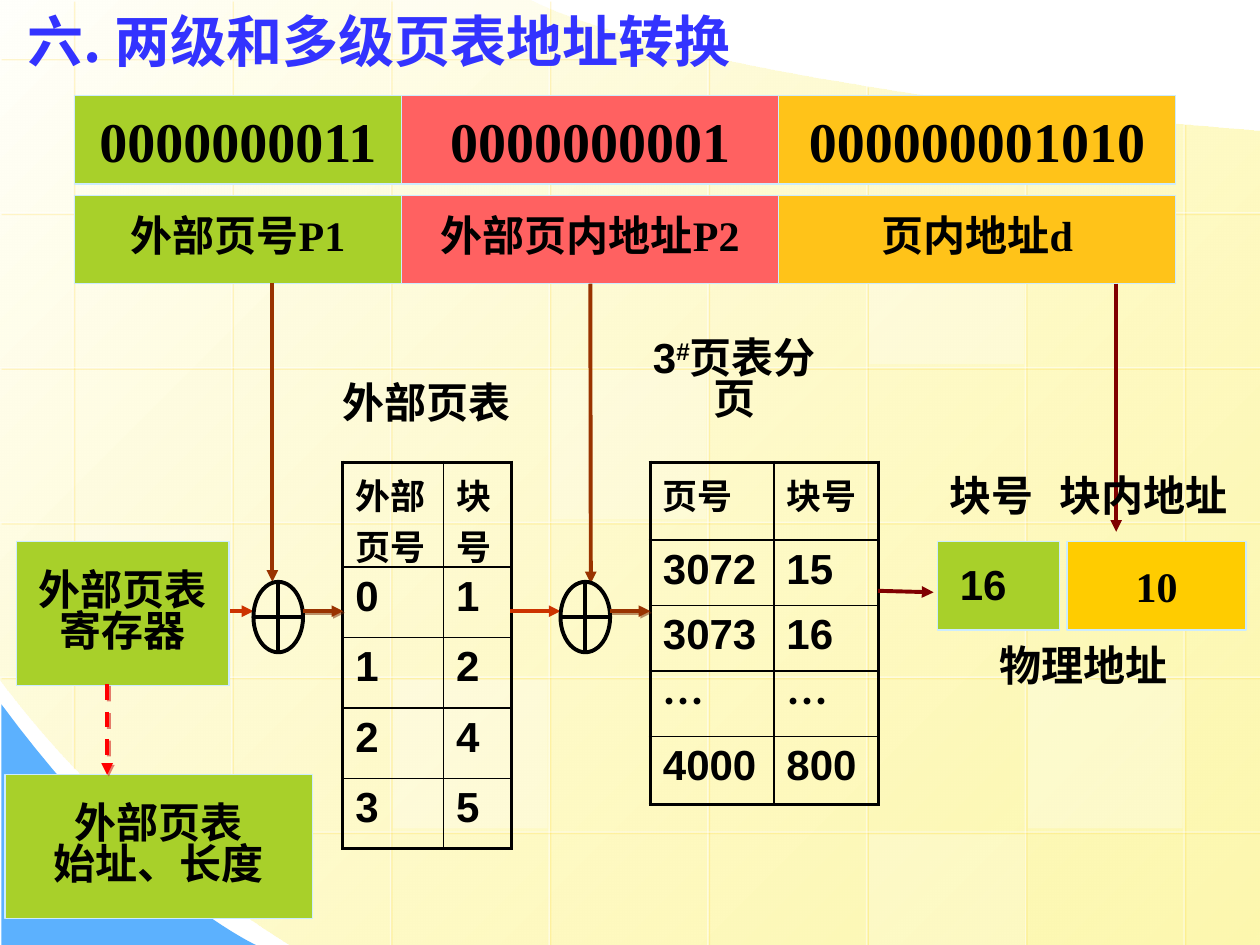
from lxml import etree
from pptx import Presentation
from pptx.dml.color import RGBColor
from pptx.enum.dml import MSO_LINE
from pptx.enum.shapes import MSO_CONNECTOR, MSO_SHAPE
from pptx.enum.text import MSO_ANCHOR, PP_ALIGN
from pptx.oxml.ns import qn
from pptx.util import Cm, Pt

RECTANGLE, OR_GATE = MSO_SHAPE.RECTANGLE, MSO_SHAPE.FLOWCHART_OR
STRAIGHT, DASH = MSO_CONNECTOR.STRAIGHT, MSO_LINE.DASH
LEFT, CENTER = PP_ALIGN.LEFT, PP_ALIGN.CENTER
TOP, MIDDLE = MSO_ANCHOR.TOP, MSO_ANCHOR.MIDDLE
SANS, SERIF, CJK = "Arial", "Times New Roman", "Noto Sans CJK SC"
TIGHT = 0.82
WIDTH, HEIGHT = 25.4, 19.05
COLORS = {
    "black": "000000", "white": "FFFFFF", "title": "3333FF", "border": "CCECFF",
    "green": "A8D02A", "red": "FF6161", "orange": "FFC319", "gold": "FFCC00",
    "brown": "993300", "rust": "CC3300", "maroon": "800000", "dash": "FF0000",
    "brown shadow": "7B2900", "dash shadow": "CC0000",
    "cream": "FFFFFB", "yellow": "FDF58D", "blue": "5CB1FE",
}


def rgb(name):
    return RGBColor.from_string(COLORS[name])


def set_alpha(properties, percent):
    """Make the last colour inside the element partly transparent."""
    color = list(properties.iter(qn("a:srgbClr")))[-1]
    etree.SubElement(color, qn("a:alpha")).set("val", str(percent * 1000))


def write_text(frame, text, size=24, font=SANS, color="black", align=LEFT,
               anchor=TOP, wrap=True, spacing=TIGHT):
    """Fill a text frame; a part between two ^ marks is superscript."""
    frame.word_wrap = wrap
    frame.vertical_anchor = anchor
    for index, line in enumerate(text.split("\n")):
        paragraph = frame.add_paragraph() if index else frame.paragraphs[0]
        paragraph.alignment = align
        paragraph.line_spacing = spacing
        for part, words in enumerate(line.split("^")):
            run = paragraph.add_run()
            run.text = words
            run.font.size, run.font.name, run.font.bold = Pt(size), font, True
            run.font.color.rgb = rgb(color)
            properties = run._r.get_or_add_rPr()
            etree.SubElement(properties, qn("a:ea")).set("typeface", CJK)
            if part % 2:
                properties.set("baseline", "30000")


def add_label(slide, text, left, top, width, height=1.27, **text_format):
    box = slide.shapes.add_textbox(Cm(left), Cm(top), Cm(width), Cm(height))
    write_text(box.text_frame, text, **text_format)


def add_box(slide, left, top, width, height, fill, text="", alpha=None, **text_format):
    shape = slide.shapes.add_shape(RECTANGLE, Cm(left), Cm(top), Cm(width), Cm(height))
    shape.shadow.inherit = False
    shape.fill.solid()
    shape.fill.fore_color.rgb = rgb(fill)
    if alpha:
        shape.line.fill.background()
        set_alpha(shape._element.spPr, alpha)
    else:
        shape.line.color.rgb = rgb("border")
        shape.line.width = Pt(0.75)
    if text:
        write_text(shape.text_frame, text, font=SERIF, align=CENTER, anchor=MIDDLE,
                   wrap=False, **text_format)
    return shape


def add_line(slide, start, end, color, width=2.25, alpha=None, arrow=True,
             dash=None, shadow=None, source=None):
    """Draw a line; shadow is (colour, alpha), source is (shape, site)."""
    points = [Cm(value) for value in (*start, *end)]
    connector = slide.shapes.add_connector(STRAIGHT, *points)
    if source:
        connector.begin_connect(*source)
    connector.line.color.rgb = rgb(color)
    connector.line.width = Pt(width)
    if dash:
        connector.line.dash_style = dash
    properties = connector._element.spPr
    if alpha:
        set_alpha(properties, alpha)
    if arrow:
        etree.SubElement(connector.line._get_or_add_ln(), qn("a:tailEnd")).set("type", "triangle")
    effects = etree.SubElement(properties, qn("a:effectLst"))
    if shadow:
        outer = etree.SubElement(effects, qn("a:outerShdw"), dist=str(Pt(1.4)), dir="2700000")
        etree.SubElement(outer, qn("a:srgbClr")).set("val", COLORS[shadow[0]])
        set_alpha(outer, shadow[1])


def curve(*controls, steps=24):
    """Points along a cubic curve, without its start."""
    def blend(a, b, c, d, t):
        u = 1 - t
        return u**3 * a + 3 * u * u * t * b + 3 * u * t * t * c + t**3 * d
    return [tuple(blend(*axis, step / steps) for axis in zip(*controls))
            for step in range(1, steps + 1)]


def add_outline(slide, points):
    points = [(Cm(x), Cm(y)) for x, y in points]
    builder = slide.shapes.build_freeform(*points[0])
    builder.add_line_segments(points[1:], close=True)
    shape = builder.convert_to_shape()
    shape.shadow.inherit = False
    shape.line.fill.background()
    return shape


def add_background(slide):
    page = add_outline(slide, [
        (WIDTH, 2.64), (WIDTH, HEIGHT), (5.84, HEIGHT),
        *curve((5.84, HEIGHT), (2.18, 16.79), (0, 13.69), (0, 13.69)),
        (0, 0), (10.69, 0),
        *curve((10.69, 0), (10.69, 0), (13.64, 1.75), (WIDTH, 2.64))])
    page.fill.gradient()
    page.fill.gradient_angle = 315
    for stop, color, position in zip(page.fill.gradient_stops, ("cream", "yellow"), (0, 1)):
        stop.color.rgb = rgb(color)
        stop.position = position
    set_alpha(page._element.spPr, 70)

    corner = add_outline(slide, [
        (0.03, 14.2), (0.03, HEIGHT), (5.16, HEIGHT),
        *curve((5.16, HEIGHT), (5.16, HEIGHT), (2.84, 18.01), (0.03, 14.2))])
    corner.fill.solid()
    corner.fill.fore_color.rgb = rgb("blue")

    columns = [1.47 + 3.2 * index for index in range(8)]
    rows = [1.17 + 3.12 * index for index in range(6)]
    grid = {"color": "white", "width": 0.75, "alpha": 50, "arrow": False,
            "shadow": ("gold", 34)}
    tops = (0, 0, 0, 0, 1.09, 1.73, 2.16, 2.49)
    bottoms = (15.47, 18.26) + (HEIGHT,) * 6
    for x, top, bottom in zip(columns, tops, bottoms):
        add_line(slide, (x, top), (x, bottom), **grid)
    lefts = (0, 0, 0, 0, 0, 2.82)
    rights = (14.43,) + (WIDTH,) * 5
    for y, left, right in zip(rows, lefts, rights):
        add_line(slide, (right, y), (left, y), **grid)

    for column, row, alpha in ((3, 2, 25), (6, 4, 30), (0, 3, 20), (5, 5, 20),
                               (2, -1, 40), (2, 4, 30), (5, 1, 30)):
        cell_top = 1.22 + 3.12 * row
        top, bottom = max(0, cell_top), min(HEIGHT, cell_top + 3)
        add_box(slide, columns[column] + 0.05, top, 3.12, bottom - top, "white", alpha=alpha)


def add_page_table(slide, left, top, widths, heights, rows):
    frame = slide.shapes.add_table(len(rows), len(widths), Cm(left), Cm(top),
                                   Cm(sum(widths)), Cm(sum(heights)))
    table = frame.table
    table.first_row = table.horz_banding = False
    for column, width in zip(table.columns, widths):
        column.width = Cm(width)
    last_row, last_column = len(rows) - 1, len(widths) - 1
    for r, values in enumerate(rows):
        table.rows[r].height = Cm(heights[r])
        for c, value in enumerate(values):
            cell = table.cell(r, c)
            dots = value == "…"
            write_text(cell.text_frame, value, size=24 if r else 20,
                       font=CJK if dots else SANS, spacing=TIGHT if dots else 1.0)
            outer = {"L": c == 0, "R": c == last_column, "T": r == 0, "B": r == last_row}
            properties = cell._tc.get_or_add_tcPr()
            for side, is_outer in outer.items():
                border = etree.SubElement(properties, qn(f"a:ln{side}"),
                                          w=str(Pt(2.25 if is_outer else 1)))
                fill = etree.SubElement(border, qn("a:solidFill"))
                etree.SubElement(fill, qn("a:srgbClr")).set("val", COLORS["black"])
            cell.fill.background()


def add_adder(slide, left):
    """Circled plus with the arrow that leaves it."""
    shape = slide.shapes.add_shape(OR_GATE, Cm(left), Cm(11.73), Cm(1), Cm(1.42))
    shape.shadow.inherit = False
    shape.fill.background()
    shape.line.color.rgb = rgb("black")
    shape.line.width = Pt(2.25)
    add_line(slide, (left + 1, 12.32), (left + 1.81, 12.32), "brown",
             shadow=("brown shadow", 50))


def add_address_fields(slide):
    """Logical address: binary values above field names."""
    left, fields = 1.5, []
    for value, name, width, fill in (
            ("0000000011", "外部页号P1", 6.6, "green"),
            ("0000000001", "外部页内地址P2", 7.6, "red"),
            ("000000001010", "页内地址d", 8, "orange")):
        add_box(slide, left, 1.93, width, 1.78, fill, value, size=32, spacing=1.0)
        fields.append(add_box(slide, left, 3.94, width, 1.78, fill, name))
        left += width
    return fields


def main():
    presentation = Presentation()
    presentation.slide_width, presentation.slide_height = Cm(WIDTH), Cm(HEIGHT)
    slide = presentation.slides.add_slide(presentation.slide_layouts[6])
    add_background(slide)
    add_label(slide, "六. 两级和多级页表地址转换", 0.3, -0.48, 22.86, 2.57, size=32,
              font=CJK, color="title", anchor=MIDDLE, spacing=1.0)
    fields = add_address_fields(slide)

    add_page_table(slide, 6.91, 9.32, (2.03, 1.37), (2.11, 1.42, 1.42, 1.42, 1.42),
                   (("外部页号", "块号"), ("0", "1"), ("1", "2"), ("2", "4"), ("3", "5")))
    add_page_table(slide, 13.11, 9.32, (2.49, 2.11), (1.57, 1.32, 1.32, 1.32, 1.37),
                   (("页号", "块号"), ("3072", "15"), ("3073", "16"), ("…", "…"),
                    ("4000", "800")))

    add_line(slide, (5.49, 5.7), (5.49, 11.73), "brown")
    add_line(slide, (11.91, 5.72), (11.91, 11.76), "brown", source=(fields[1], 2))
    add_line(slide, (22.5, 5.72), (22.5, 10.72), "maroon")
    add_line(slide, (4.09, 12.32), (5.11, 12.32), "rust")
    add_line(slide, (10.29, 12.32), (11.3, 12.32), "rust")
    add_line(slide, (17.7, 11.91), (18.82, 11.94), "maroon")
    for left in (5.11, 11.3):
        add_adder(slide, left)

    add_box(slide, 0.33, 10.92, 4.29, 2.9, "green", "外部页表\n寄存器")
    add_box(slide, 0.1, 15.62, 6.2, 2.9, "green", "外部页表\n始址、长度")
    add_line(slide, (2.16, 13.79), (2.16, 15.62), "dash", dash=DASH,
             shadow=("dash shadow", 50))
    add_box(slide, 18.9, 10.92, 2.46, 1.78, "green")
    add_box(slide, 21.51, 10.92, 3.61, 1.78, "gold", "10", spacing=1.0)

    add_label(slide, "外部页表", 6.5, 7.65, 4.19, font=SERIF, align=CENTER)
    add_label(slide, "3^#^页表分页", 12.9, 6.73, 3.81, 2.29, align=CENTER)
    add_label(slide, "块号", 18.9, 9.53, 2.79)
    add_label(slide, "块内地址", 21.11, 9.53, 4.11)
    add_label(slide, "16", 19.1, 11.13, 2.16, spacing=1.0)
    add_label(slide, "物理地址", 19.63, 12.95, 4.42, font=SERIF, align=CENTER)
    presentation.save("out.pptx")


if __name__ == "__main__":
    main()
